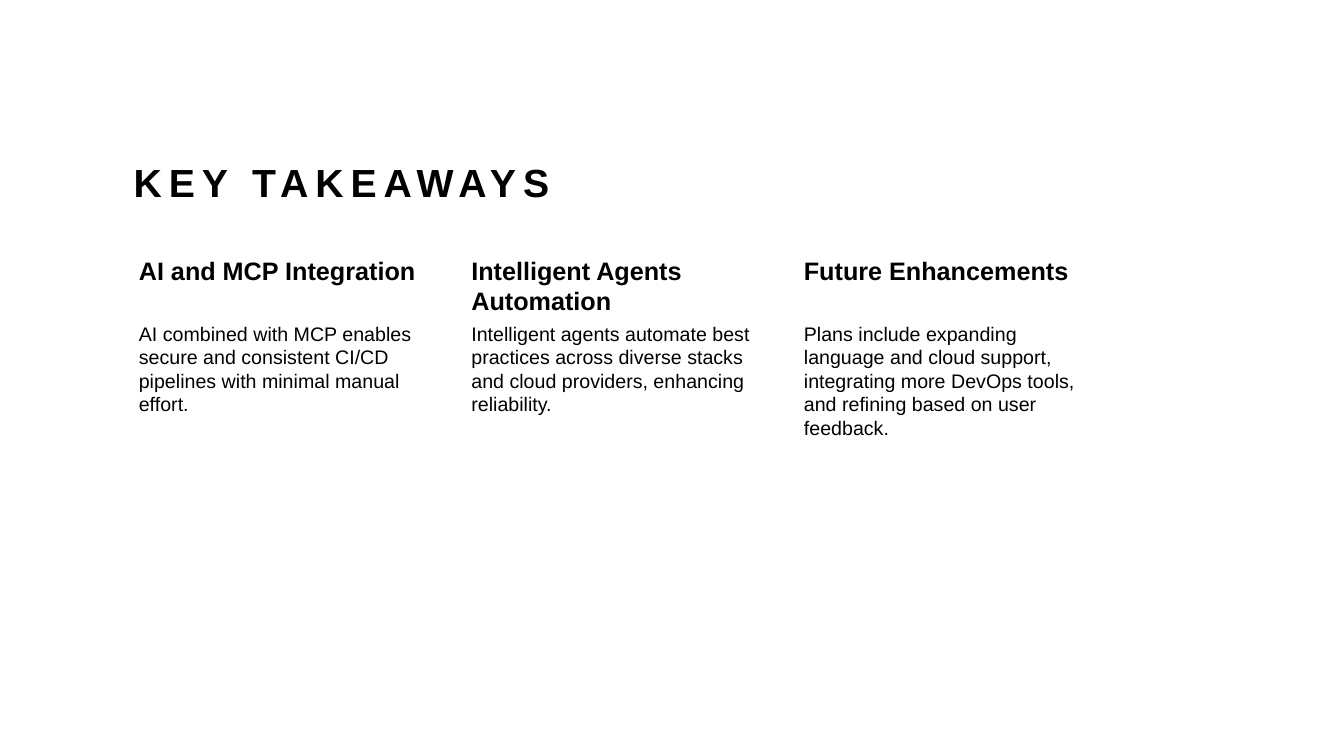
from dataclasses import dataclass

from pptx import Presentation
from pptx.dml.color import RGBColor
from pptx.enum.text import MSO_ANCHOR as Anchor
from pptx.util import Cm, Pt


@dataclass(frozen=True)
class Theme:
    font: str = "Arial"
    ink: RGBColor = RGBColor(0, 0, 0)
    paper: RGBColor = RGBColor(255, 255, 255)
    title_size: int = 28
    heading_size: int = 18
    body_size: int = 14


THEME = Theme()

# Column grid, in centimetres
LEFT = 3.12
COLUMN_WIDTH = 7.62
COLUMN_STEP = 8.38
HEADING_TOP, HEADING_HEIGHT = 6.35, 1.7
BODY_TOP, BODY_HEIGHT = 8.05, 9.02

TAKEAWAYS = [
    ("AI and MCP Integration",
     "AI combined with MCP enables secure and consistent CI/CD pipelines "
     "with minimal manual effort."),
    ("Intelligent Agents Automation",
     "Intelligent agents automate best practices across diverse stacks "
     "and cloud providers, enhancing reliability."),
    ("Future Enhancements",
     "Plans include expanding language and cloud support, integrating more "
     "DevOps tools, and refining based on user feedback."),
]


def add_text(shapes, text, left, top, width, height, size, bold=False):
    """Add a wrapped one-paragraph text box; lengths are centimetres."""
    box = shapes.add_textbox(Cm(left), Cm(top), Cm(width), Cm(height))
    box.text_frame.word_wrap = True
    para = box.text_frame.paragraphs[0]
    para.text = text
    para.font.name = THEME.font
    para.font.size = Pt(size)
    para.font.bold = bold
    para.font.color.rgb = THEME.ink
    return box


def add_title(page, text):
    box = add_text(page.shapes, text, LEFT, 2.9, 24.38, 2.39,
                   THEME.title_size, bold=True)
    box.text_frame.vertical_anchor = Anchor.BOTTOM
    para = box.text_frame.paragraphs[0]
    para.line_spacing = 1.2
    # Letter spacing of 5 points
    for span in para.runs:
        span.font._element.set("spc", "500")


def set_margins(box, left, others):
    frame = box.text_frame
    frame.margin_left = Cm(left)
    frame.margin_top = frame.margin_right = frame.margin_bottom = Cm(others)


def add_takeaway(shapes, left, heading, body):
    heading_box = add_text(shapes, heading, left, HEADING_TOP, COLUMN_WIDTH,
                           HEADING_HEIGHT, THEME.heading_size, bold=True)
    set_margins(heading_box, 0.38, 0.08)
    body_box = add_text(shapes, body, left, BODY_TOP, COLUMN_WIDTH,
                        BODY_HEIGHT, THEME.body_size)
    set_margins(body_box, 0.38, 0.05)


def main():
    deck = Presentation()
    deck.slide_width, deck.slide_height = Cm(33.87), Cm(19.05)
    page = deck.slides.add_slide(deck.slide_layouts[6])
    page.background.fill.solid()
    page.background.fill.fore_color.rgb = THEME.paper

    # Title
    add_title(page, "KEY TAKEAWAYS")

    # Three takeaway columns
    columns = page.shapes.add_group_shape()
    for index, (heading, body) in enumerate(TAKEAWAYS):
        add_takeaway(columns.shapes, LEFT + index * COLUMN_STEP, heading, body)

    deck.save("out.pptx")


if __name__ == "__main__":
    main()
